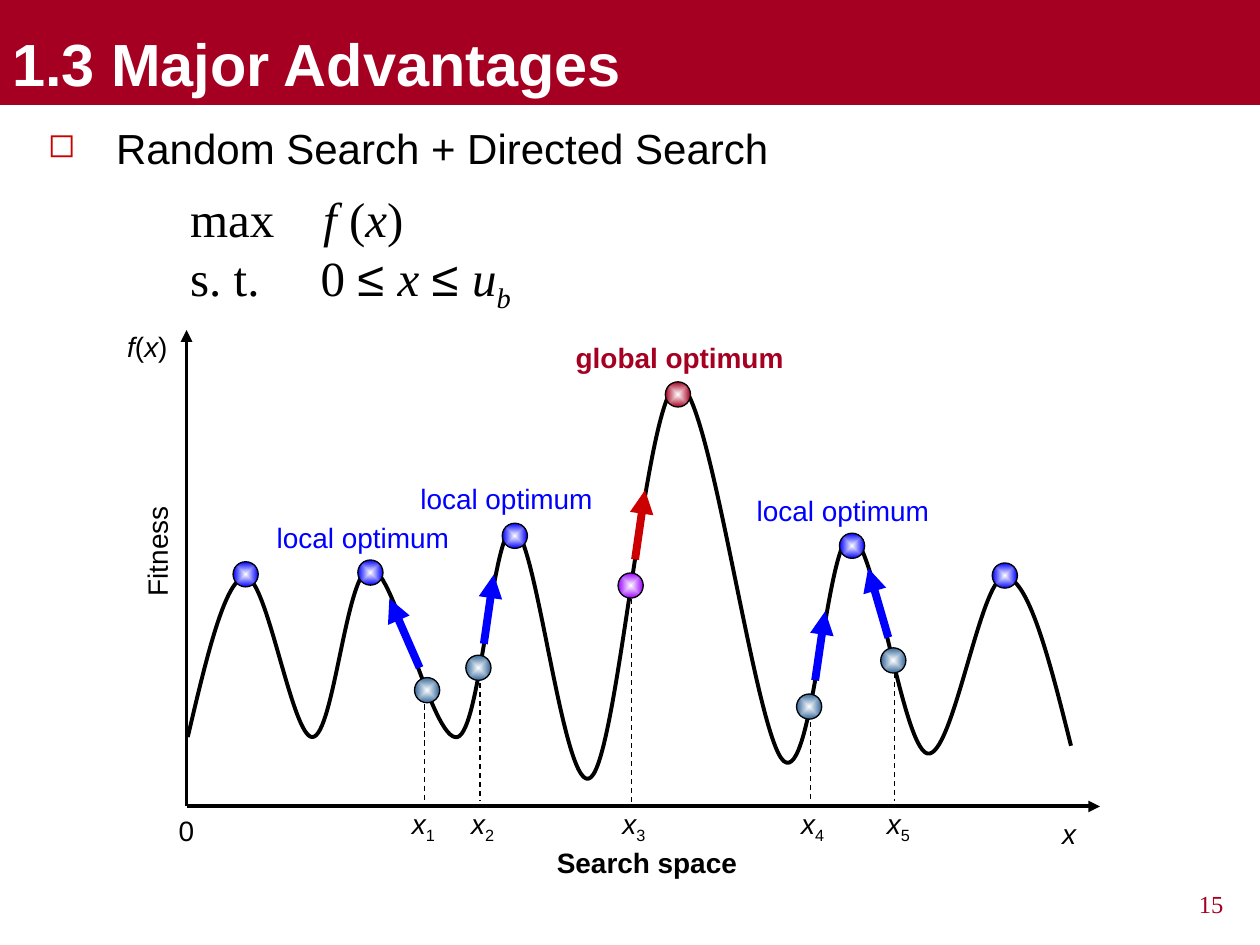
from dataclasses import dataclass
from typing import NamedTuple

from lxml import etree
from pptx import Presentation, util as u
from pptx.dml.color import RGBColor
from pptx.enum import dml, shapes, text
from pptx.oxml.ns import qn


@dataclass(frozen=True)
class Theme:
    sans: str = "Arial"
    serif: str = "Times New Roman"
    black: str = "000000"
    white: str = "FFFFFF"
    crimson: str = "A50021"
    red: str = "CC0000"
    blue: str = "0000FF"
    steel: str = "336699"
    violet: str = "9900FF"
    title: float = 34
    formula: float = 28
    body: float = 24
    label: float = 16
    number: float = 14


THEME = Theme()


class Span(NamedTuple):
    words: str
    italic: bool = False
    subscript: bool = False
    face: str = ""


class Style(NamedTuple):
    size: float = THEME.label
    color: str = THEME.black
    face: str = THEME.sans
    bold: bool = False


class Label(NamedTuple):
    spans: list[Span]
    left: float
    top: float
    width: float
    style: Style = Style()
    rotation: float = 0


class Ball(NamedTuple):
    left: float
    top: float
    color: str


class Line(NamedTuple):
    start: tuple[float, float]
    end: tuple[float, float]
    color: str = THEME.black
    weight: float = 2.25
    arrow: bool = True
    dashed: bool = False


class Candidate(NamedTuple):
    line_x: float
    line_top: float
    line_bottom: float
    label_left: float


def fill_para(para, spans: list[Span], style: Style) -> None:
    for span in spans:
        run = para.add_run()
        run.text = span.words
        font = run.font
        font.name = span.face or style.face
        font.size = u.Pt(style.size)
        font.bold = style.bold
        font.italic = span.italic
        font.color.rgb = RGBColor.from_string(style.color)
        if span.subscript:
            run._r.get_or_add_rPr().set("baseline", "-25000")


def add_box(page, left: float, top: float, width: float, height: float,
            wrap: bool = True, inset: float = 7.2):
    box = page.shapes.add_textbox(u.Pt(left), u.Pt(top), u.Pt(width), u.Pt(height))
    frame = box.text_frame
    frame.word_wrap = wrap
    frame.margin_left = frame.margin_right = u.Pt(inset)
    return box


def add_label(page, label: Label) -> None:
    # Without side insets the centred words have room to stay on one line
    box = add_box(page, label.left, label.top, label.width, 26.6, wrap=False, inset=0)
    box.rotation = label.rotation
    para = box.text_frame.paragraphs[0]
    para.alignment = text.PP_ALIGN.CENTER
    fill_para(para, label.spans, label.style)


def add_line(page, line: Line) -> None:
    connector = page.shapes.add_connector(
        shapes.MSO_CONNECTOR.STRAIGHT, *map(u.Pt, line.start + line.end))
    connector.line.color.rgb = RGBColor.from_string(line.color)
    connector.line.width = u.Pt(line.weight)
    if line.dashed:
        connector.line.dash_style = dml.MSO_LINE.DASH
    if line.arrow:
        etree.SubElement(connector.line._get_or_add_ln(), qn("a:tailEnd"), type="triangle")
    etree.SubElement(connector.element.spPr, qn("a:effectLst"))


def add_ball(page, ball: Ball, size: float = 14.4) -> None:
    shape = page.shapes.add_shape(shapes.MSO_SHAPE.OVAL, u.Pt(ball.left), u.Pt(ball.top),
                                  u.Pt(size), u.Pt(size))
    shape.shadow.inherit = False
    shape.line.color.rgb = RGBColor.from_string(THEME.black)
    shape.line.width = u.Pt(0.75)
    shape.fill.gradient()
    for stop, color in zip(shape.fill.gradient_stops, (THEME.white, ball.color)):
        stop.color.rgb = RGBColor.from_string(color)
    # Turn the linear gradient into one that spreads from the centre
    gradient = shape.element.spPr.find(qn("a:gradFill"))
    gradient.remove(gradient.find(qn("a:lin")))
    spread = etree.SubElement(gradient, qn("a:path"), {"path": "rect"})
    etree.SubElement(spread, qn("a:fillToRect"), dict.fromkeys("ltrb", "50000"))


def add_curve(page, points: list[tuple[float, float]]) -> None:
    """Draw a start point followed by triples of Bézier points."""
    start, *rest = [(u.Pt(x), u.Pt(y)) for x, y in points]
    builder = page.shapes.build_freeform(*start)
    builder.add_line_segments(rest, close=False)
    curve = builder.convert_to_shape()
    curve.shadow.inherit = False
    curve.fill.background()
    curve.line.color.rgb = RGBColor.from_string(THEME.black)
    curve.line.width = u.Pt(2.25)
    segments = list(curve.element.iter(qn("a:lnTo")))
    outline = segments[0].getparent()
    for first in range(0, len(segments), 3):
        bezier = etree.SubElement(outline, qn("a:cubicBezTo"))
        for segment in segments[first:first + 3]:
            bezier.append(segment[0])
            outline.remove(segment)


LOCAL, GLOBAL = Style(color=THEME.blue), Style(color=THEME.crimson, bold=True)
CURVE = [
    (107.3, 421.2), (118.1, 375.1), (128.9, 329.8), (140.4, 329.8),
    (152.6, 329.8), (167, 421.9), (178.6, 421.2), (190.8, 420.5), (198, 324.7), (211.7, 324.7),
    (225.4, 324.7), (247, 424.8), (261.4, 421.2), (275, 417.6), (281.5, 298.1), (293.8, 302.4),
    (306.7, 306), (322.6, 457.9), (337.7, 444.2), (353.5, 430.6), (369.4, 221), (387.4, 219.6),
    (405.4, 218.2), (431.3, 420.5), (447.8, 434.9), (464.4, 449.3), (472.3, 307.4), (486, 306.7),
    (499.7, 306), (515.5, 427), (529.9, 430.6), (544.3, 434.2), (560.2, 330.5), (573.8, 329.8),
    (587.5, 329), (599.8, 377.3), (612, 426.2),
]
AXES = [Line((106.6, 460.8), (106.6, 188.6)), Line((106.6, 460.8), (628.6, 460.8))]
BALLS = [
    *(Ball(x, y, THEME.blue) for x, y in
      [(133.2, 321), (204.5, 320), (287, 299), (479.7, 304.7), (567, 321.7)]),
    *(Ball(x, y, THEME.steel) for x, y in
      [(236.9, 387.2), (266.2, 374.4), (455.2, 396.6), (503.3, 370.2)]),
    Ball(380.2, 218.2, THEME.crimson),
    Ball(353.2, 327.4, THEME.violet),
]
CLIMBS = [
    Line((239.8, 381.6), (222.5, 342), THEME.blue, 4.5),
    Line((276.5, 367.9), (282.2, 328.3), THEME.blue, 4.5),
    Line((362.9, 319.7), (368.6, 280.1), THEME.red, 4.5),
    Line((465.8, 388.8), (471.6, 349.2), THEME.blue, 4.5),
    Line((507.6, 364.3), (496.1, 324.7), THEME.blue, 4.5),
]
CANDIDATES = [
    Candidate(242.6, 402.5, 458.6, 228.2), Candidate(274.3, 390.2, 458, 262),
    Candidate(360.7, 342, 460.8, 348.5), Candidate(463, 412.6, 458, 450.7),
    Candidate(511.2, 384.5, 458, 499.7),
]
LABELS = [
    Label([Span("Search space")], 311, 479.5, 117.4, Style(bold=True)),
    Label([Span("Fitness")], 56.9, 301.7, 65.5, rotation=270),
    Label([Span("f", True), Span("("), Span("x", True), Span(")")], 65.5, 185, 37.4),
    Label([Span("local optimum")], 151.2, 293.8, 112.3, LOCAL),
    Label([Span("local optimum")], 233.3, 271.4, 112.3, LOCAL),
    Label([Span("local optimum")], 425.5, 278.6, 112.3, LOCAL),
    Label([Span("global optimum")], 321.8, 190.8, 133.2, GLOBAL),
    Label([Span("0")], 95, 461.5, 23),
    Label([Span("x", True)], 599.8, 463, 22.3),
]


def main() -> None:
    deck = Presentation()
    deck.slide_width, deck.slide_height = u.Pt(720), u.Pt(540)
    page = deck.slides.add_slide(deck.slide_layouts[6])

    # Title band
    band = page.shapes.add_shape(shapes.MSO_SHAPE.RECTANGLE, 0, 0, deck.slide_width, u.Pt(60))
    band.shadow.inherit = False
    band.fill.solid()
    band.fill.fore_color.rgb = RGBColor.from_string(THEME.crimson)
    band.line.fill.background()
    band.text_frame.vertical_anchor = text.MSO_ANCHOR.BOTTOM
    para = band.text_frame.paragraphs[0]
    para.alignment = text.PP_ALIGN.LEFT
    fill_para(para, [Span("1.3 Major Advantages")], Style(THEME.title, THEME.white, bold=True))

    # Bulleted heading
    box = add_box(page, 19.4, 66.5, 431.3, 36.7, inset=7.9)
    para = box.text_frame.paragraphs[0]
    props = para._p.get_or_add_pPr()
    props.set("marL", str(u.Pt(39)))
    props.set("indent", str(-u.Pt(39)))
    etree.SubElement(etree.SubElement(props, qn("a:buClr")), qn("a:srgbClr"), val=THEME.red)
    etree.SubElement(props, qn("a:buSzPct"), val="80000")
    etree.SubElement(props, qn("a:buChar"), char="◻")
    fill_para(para, [Span("Random Search + Directed Search")], Style(THEME.body))

    # Optimisation problem, second column set by a tab stop
    problem = [
        (76, [Span("max\t"), Span("f ", True), Span("("), Span("x", True), Span(")")]),
        (74.5, [Span("s. t.\t0 "), Span("≤ ", face=THEME.sans), Span("x ", True),
                Span("≤ ", face=THEME.sans), Span("u", True), Span("b", True, True)]),
    ]
    frame = add_box(page, 100.8, 104.2, 228.2, 79.9, inset=7.9).text_frame
    for row, (stop, spans) in enumerate(problem):
        para = frame.add_paragraph() if row else frame.paragraphs[0]
        tabs = etree.SubElement(para._p.get_or_add_pPr(), qn("a:tabLst"))
        etree.SubElement(tabs, qn("a:tab"), pos=str(u.Pt(stop)), algn="l")
        fill_para(para, spans, Style(THEME.formula, face=THEME.serif))

    # Fitness landscape
    add_curve(page, CURVE)
    for axis in AXES:
        add_line(page, axis)
    for ball in BALLS:
        add_ball(page, ball)
    for climb in CLIMBS:
        add_line(page, climb)
    for number, spot in enumerate(CANDIDATES, 1):
        add_line(page, Line((spot.line_x, spot.line_top), (spot.line_x, spot.line_bottom),
                            weight=0.75, arrow=False, dashed=True))
        add_label(page, Label([Span("x", True), Span(str(number), subscript=True)],
                              spot.label_left, 457.6, 27.4))
    for label in LABELS:
        add_label(page, label)

    # Page number
    para = add_box(page, 550, 504.7, 156.2, 28).text_frame.paragraphs[0]
    para.alignment = text.PP_ALIGN.RIGHT
    fill_para(para, [Span("15")], Style(THEME.number, THEME.crimson, THEME.serif))

    deck.save("out.pptx")


if __name__ == "__main__":
    main()
